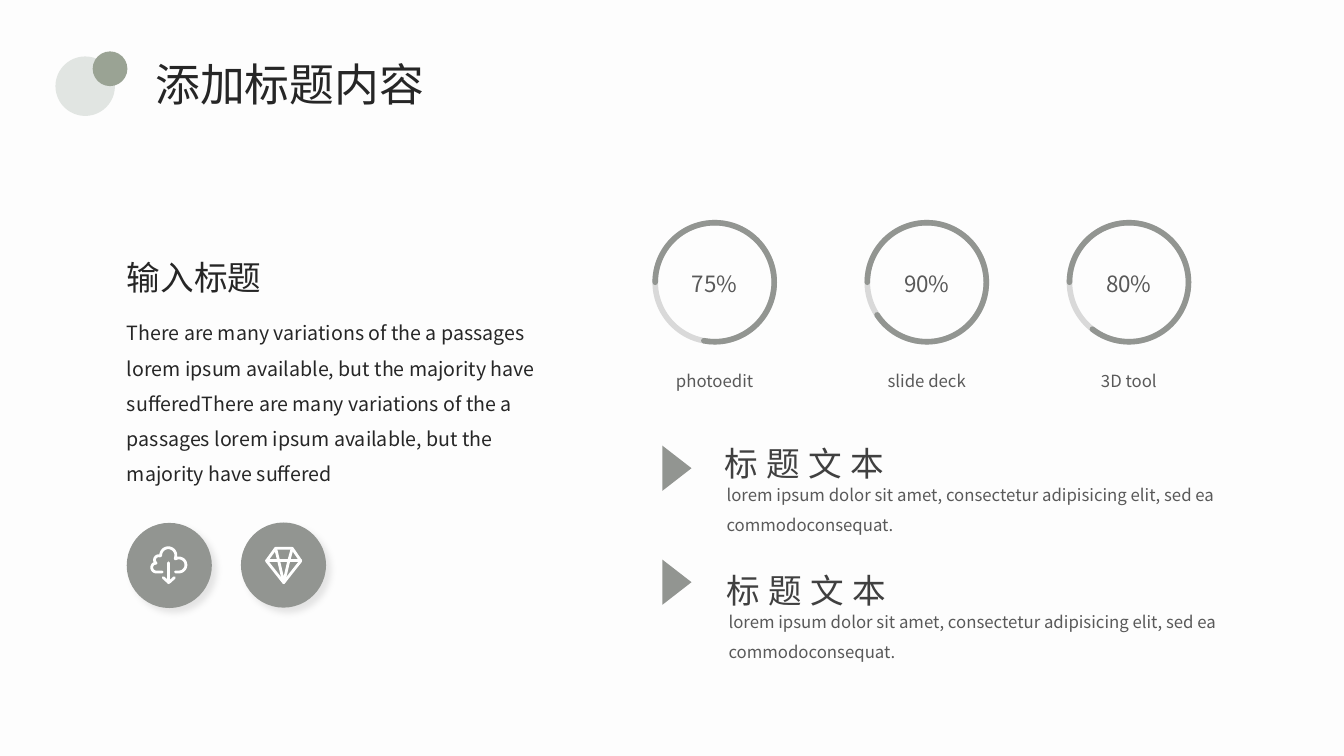
from math import cos, radians, sin

from lxml.etree import SubElement
from pptx import Presentation
from pptx.dml.color import RGBColor
from pptx.enum.shapes import MSO_SHAPE
from pptx.enum.text import MSO_ANCHOR, PP_ALIGN
from pptx.oxml.ns import qn
from pptx.util import Pt

FONT = "Noto Sans CJK SC"
PAPER = RGBColor(0xFD, 0xFD, 0xFD)
WHITE = RGBColor(0xFF, 0xFF, 0xFF)
INK = RGBColor(0x26, 0x26, 0x26)
HEADING = RGBColor(0x40, 0x40, 0x40)
BODY = RGBColor(0x59, 0x59, 0x59)
GREY = RGBColor(0x92, 0x95, 0x91)
TRACK = RGBColor(0xD9, 0xD9, 0xD9)
MIST = RGBColor(0xE1, 0xE5, 0xE2)
SAGE = RGBColor(0x9A, 0xA3, 0x94)

INTRO = ("There are many variations of the a passages lorem ipsum available, "
         "but the majority have suffered") * 2
LOREM = ("lorem ipsum dolor sit amet, consectetur adipisicing elit, "
         "sed ea commodoconsequat.")

# Ring centre, arc end (adjustment value), share, label
SKILLS = [(510.5, 114.3, "75%", "photoedit"),
          (662, 142.02, "90%", "slide deck"),
          (806.4, 130.75, "80%", "3D tool")]
# Triangle top, heading left, heading top
POINTS = [(324, 510.5, 312.5), (405.4, 511.9, 403.2)]


def set_all(target, values):
    for name, value in values.items():
        setattr(target, name, value)


def place(shape, left, top, width, height):
    set_all(shape, {"left": Pt(left), "top": Pt(top),
                    "width": Pt(width), "height": Pt(height)})


def write(shape, text, size, color, wrap=False, inset=True, spacing=1.0,
          align=PP_ALIGN.LEFT, anchor=MSO_ANCHOR.TOP, tracking=0):
    tf = shape.text_frame
    side, edge = (7.2, 3.6) if inset else (0, 0)
    set_all(tf, {"word_wrap": wrap, "vertical_anchor": anchor,
                 "margin_left": Pt(side), "margin_right": Pt(side),
                 "margin_top": Pt(edge), "margin_bottom": Pt(edge)})
    p = tf.paragraphs[0]
    set_all(p, {"alignment": align, "line_spacing": spacing})
    r = p.add_run()
    r.text = text
    set_all(r.font, {"size": Pt(size), "name": FONT})
    r.font.color.rgb = color
    rPr = r.font._element
    SubElement(rPr, qn("a:ea"), typeface=FONT)
    if tracking:
        rPr.set("spc", str(tracking * 100))


def add_text(s, box, text, size, color, **options):
    write(s.shapes.add_textbox(*map(Pt, box)), text, size, color, **options)


def add_filled(s, kind, box, color, rotation=0):
    sp = s.shapes.add_shape(kind, *map(Pt, box))
    sp.shadow.inherit = False
    sp.rotation = rotation
    sp.fill.solid()
    sp.fill.fore_color.rgb = color
    sp.line.fill.background()
    return sp


def outline(sp, color, width):
    sp.shadow.inherit = False
    sp.fill.background()
    sp.line.color.rgb = color
    sp.line.width = Pt(width)
    sp.line._get_or_add_ln().set("cap", "rnd")


def add_strokes(s, strokes):
    """Draw polylines as one white line icon; points are in pt."""
    builder = None
    for points in strokes:
        points = [(Pt(x), Pt(y)) for x, y in points]
        if builder is None:
            builder = s.shapes.build_freeform(*points[0])
        else:
            builder.move_to(*points[0])
        builder.add_line_segments(points[1:], close=False)
    sp = builder.convert_to_shape()
    outline(sp, WHITE, 2)


def arc_points(cx, cy, radius, start, end):
    return [(cx + radius * cos(radians(a)), cy + radius * sin(radians(a)))
            for a in range(start, end + 1, 10)]


def add_badge(s, left, top):
    sp = add_filled(s, MSO_SHAPE.OVAL, (left, top, 60.8, 60.8), GREY)
    effects = sp._element.spPr.find(qn("a:effectLst"))
    shadow = SubElement(effects, qn("a:outerShdw"), blurRad=str(Pt(5)),
                        dist=str(Pt(5)), dir="2700000", algn="tl",
                        rotWithShape="0")
    black = SubElement(shadow, qn("a:srgbClr"), val="000000")
    SubElement(black, qn("a:alpha"), val="10000")


def add_cloud(s):
    cloud = ([(115.9, 408.6)] + arc_points(111.6, 405.4, 3.2, 90, 240)
             + arc_points(113.4, 400, 3, 130, 290)
             + arc_points(120.2, 396.7, 5.4, 180, 380)
             + arc_points(127.8, 403.6, 5, 240, 450) + [(125.3, 408.6)])
    tip = (120.6, 416.2)
    add_strokes(s, [cloud, [(120.6, 402.1), tip],
                    [(116.6, 412.6), tip, (124.6, 412.6)]])


def add_diamond(s):
    left, right = (190.4, 400.7), (214.9, 400.7)
    top_left, top_right = (196.9, 391.7), (208.8, 391.7)
    tip = (202.7, 416.2)
    add_strokes(s, [[left, top_left, top_right, right, tip, left], [left, right],
                    [top_left, (199.1, 400.7), tip, (206.3, 400.7), top_right]])


def add_skill(s, center, arc_end, share, label):
    size = 85
    for kind, color in ((MSO_SHAPE.OVAL, TRACK), (MSO_SHAPE.ARC, GREY)):
        sp = s.shapes.add_shape(kind, Pt(center - size / 2), Pt(159.1),
                                Pt(size), Pt(size))
        sp.rotation = 270
        outline(sp, color, 4)
        if kind == MSO_SHAPE.ARC:
            sp.adjustments[0] = 162
            sp.adjustments[1] = arc_end
    for text, top, height, font_size in ((share, 189.4, 26.6, 16),
                                         (label, 261.4, 21.6, 12)):
        add_text(s, (center - 40, top, 80, height), text, font_size, BODY,
                 align=PP_ALIGN.CENTER)


def add_point(s, marker_top, left, top):
    add_filled(s, MSO_SHAPE.ISOSCELES_TRIANGLE,
               (467.3, marker_top, 32.4, 20.9), GREY, rotation=90)
    add_text(s, (left, top, 175.7, 36), "标题文本", 24, HEADING,
             wrap=True, tracking=6)
    add_text(s, (left + 1.4, top + 22.7, 383, 48.2), LOREM, 12, BODY,
             wrap=True, spacing=1.5)


def main():
    prs = Presentation()
    prs.slide_width, prs.slide_height = Pt(960), Pt(540)
    s = prs.slides.add_slide(prs.slide_layouts[5])
    s.background.fill.solid()
    s.background.fill.fore_color.rgb = PAPER

    # Title with its two dots
    place(s.shapes.title, 103.7, 36.7, 208.1, 46.1)
    write(s.shapes.title, "添加标题内容", 32, INK)
    add_filled(s, MSO_SHAPE.OVAL, (39.6, 40.3, 42.5, 42.5), MIST)
    add_filled(s, MSO_SHAPE.OVAL, (66.2, 36.7, 24.8, 24.8), SAGE)

    # Left column: heading, introduction and icons
    add_text(s, (90.7, 171.4, 97.2, 38.2), "输入标题", 24, INK,
             inset=False, spacing=1.5, anchor=MSO_ANCHOR.MIDDLE)
    add_text(s, (90.7, 221, 307.4, 149.8), INTRO, 14, INK,
             wrap=True, inset=False, spacing=1.5)
    add_badge(s, 90.5, 373.5)
    add_cloud(s)
    add_badge(s, 172.1, 373.2)
    add_diamond(s)

    # Right column: skill rings and points
    for skill in SKILLS:
        add_skill(s, *skill)
    for point in POINTS:
        add_point(s, *point)

    prs.save("out.pptx")


if __name__ == "__main__":
    main()
